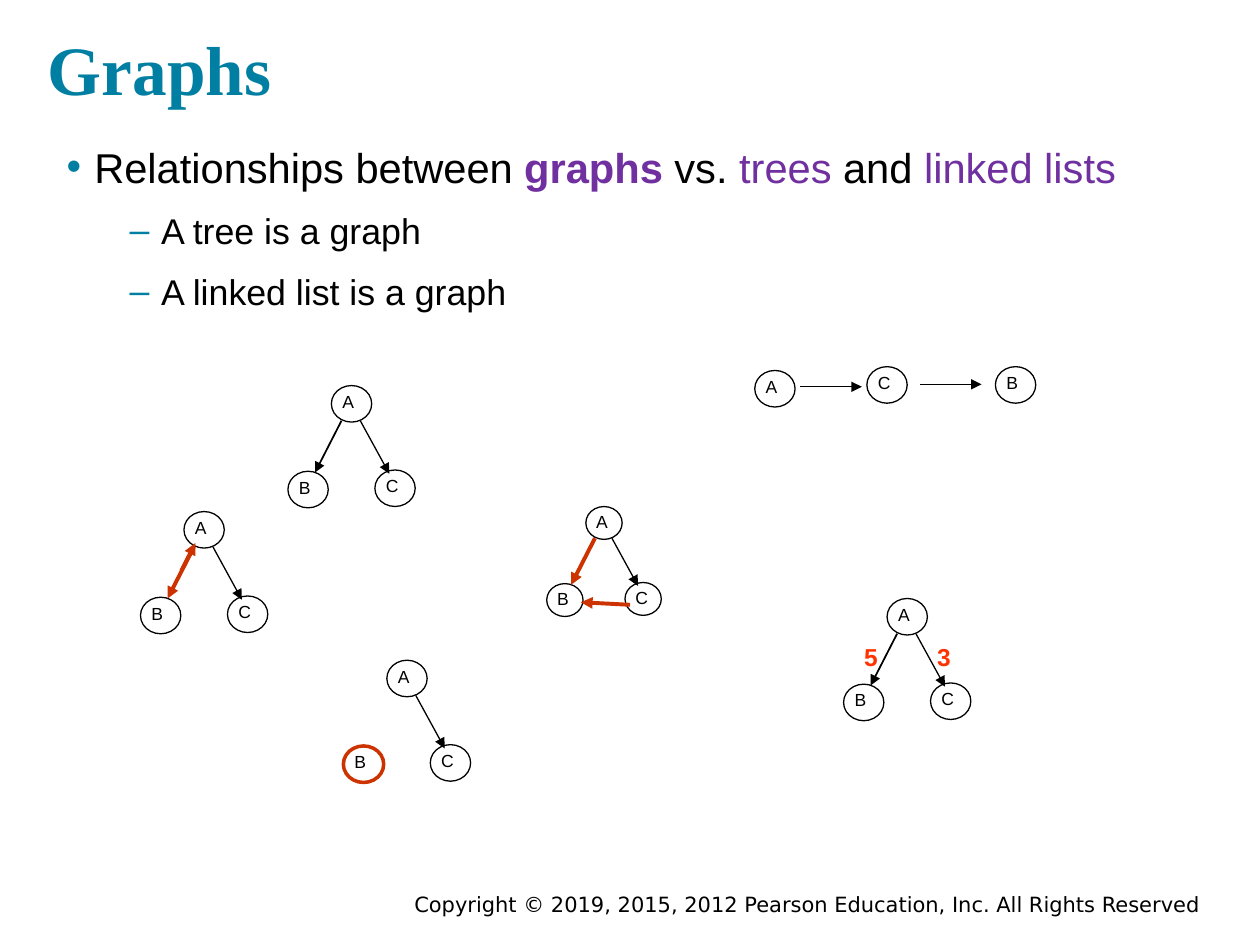
from dataclasses import dataclass

from lxml.etree import SubElement
from pptx import Presentation
from pptx.dml.color import RGBColor
from pptx.enum.shapes import MSO_CONNECTOR, MSO_SHAPE
from pptx.enum.text import MSO_ANCHOR, MSO_AUTO_SIZE, PP_ALIGN
from pptx.oxml.ns import qn
from pptx.util import Inches, Pt

COLORS = {
    "ink": "000000",
    "paper": "FFFFFF",
    "teal": "007FA3",
    "purple": "7030A0",
    "change": "CC3300",
    "weight": "FF3300",
}
COLS, ROWS = 100, 75
NODE = (3.2, 2.9)
OFFSETS = {"A": (0, 0), "B": (-3.45, 6.8), "C": (3.45, 6.7)}
EDGES = {"B": (0.8, 2.8, -1.3, 6.9), "C": (2.3, 2.8, 4.6, 7)}


def color(name):
    return RGBColor.from_string(COLORS[name])


@dataclass
class Deck:
    prs: object
    s: object = None
    font: str = "Arial"

    def x(self, cols):
        return round(self.prs.slide_width * cols / COLS)

    def y(self, rows):
        return round(self.prs.slide_height * rows / ROWS)

    def box(self, left, top, width, height):
        return self.x(left), self.y(top), self.x(width), self.y(height)

    def run(self, p, text, size, ink="ink", bold=False, font=None):
        r = p.add_run()
        r.text = text
        r.font.size = Pt(size)
        r.font.name = font or self.font
        r.font.bold = bold
        r.font.color.rgb = color(ink)

    def frame(self, sp, inset):
        tf = sp.text_frame
        tf.word_wrap = True
        tf.auto_size = MSO_AUTO_SIZE.NONE
        tf.margin_left = tf.margin_right = Inches(inset)
        tf.margin_top = tf.margin_bottom = Inches(inset)
        return tf

    def title(self, text, box):
        self.s = self.prs.slides.add_slide(self.prs.slide_layouts[5])
        sp = self.s.shapes.title
        sp.left, sp.top, sp.width, sp.height = self.box(*box)
        tf = self.frame(sp, 0.1)
        tf.vertical_anchor = MSO_ANCHOR.BOTTOM
        p = tf.paragraphs[0]
        p.alignment = PP_ALIGN.LEFT
        self.run(p, text, 39.6, "teal", True, "Times New Roman")

    def text(self, box, inset=0.1):
        return self.frame(self.s.shapes.add_textbox(*self.box(*box)), inset)

    def bullet(self, p, char, level, margin, indent):
        p.level = level
        pPr = p._p.get_or_add_pPr()
        pPr.set("marL", str(Inches(margin)))
        pPr.set("indent", str(Inches(indent)))
        clr = SubElement(pPr, qn("a:buClr"))
        SubElement(clr, qn("a:srgbClr"), val=COLORS["teal"])
        SubElement(pPr, qn("a:buFont"), typeface=self.font)
        SubElement(pPr, qn("a:buChar"), char=char)
        p.line_spacing = 0.8

    def bullets(self, box, lead, items):
        tf = self.text(box)
        p = tf.paragraphs[0]
        self.bullet(p, "•", 0, 0.33, -0.22)
        for text, ink, bold in lead:
            self.run(p, text, 23.8, ink, bold)
        for item in items:
            p = tf.add_paragraph()
            self.bullet(p, "–", 1, 0.86, -0.25)
            p.space_before = Pt(15)
            self.run(p, item, 20.4)

    def node(self, name, left, top, scale=1, ink="ink", weight=0.75):
        width, height = (side * scale for side in NODE)
        sp = self.s.shapes.add_shape(MSO_SHAPE.OVAL, *self.box(left, top, width, height))
        sp.shadow.inherit = False
        sp.fill.solid()
        sp.fill.fore_color.rgb = color("paper")
        sp.line.color.rgb = color(ink)
        sp.line.width = Pt(weight)
        tf = self.frame(sp, 0)
        tf.margin_left = Inches(0.04)
        tf.vertical_anchor = MSO_ANCHOR.TOP
        p = tf.paragraphs[0]
        p.alignment = PP_ALIGN.LEFT
        self.run(p, name, 10)

    def arrow(self, x1, y1, x2, y2, ink="ink", weight=0.75):
        line = self.s.shapes.add_connector(
            MSO_CONNECTOR.STRAIGHT, self.x(x1), self.y(y1), self.x(x2), self.y(y2))
        line.line.color.rgb = color(ink)
        line.line.width = Pt(weight)
        SubElement(line.line._get_or_add_ln(), qn("a:tailEnd"), type="triangle")
        SubElement(line._element.spPr, qn("a:effectLst"))

    def graph(self, left, top, scale=1, left_edge=("ink", 1), left_node=("ink", 0.75)):
        for name in "CAB":
            dx, dy = OFFSETS[name]
            style = left_node if name == "B" else ("ink", 0.75)
            self.node(name, left + dx * scale, top + dy * scale, scale, *style)
        for name, style in (("B", left_edge), ("C", ("ink", 0.75))):
            if style:
                x1, y1, x2, y2 = (d * scale for d in EDGES[name])
                self.arrow(left + x1, top + y1, left + x2, top + y2, *style)

    def label(self, text, left, top):
        tf = self.text((left, top, 3.3, 2.4))
        tf.margin_top = tf.margin_bottom = Inches(0.05)
        self.run(tf.paragraphs[0], text, 14, "weight", True)


def main():
    prs = Presentation()
    prs.slide_width, prs.slide_height = Inches(10), Inches(7.5)
    deck = Deck(prs)
    changed = ("change", 2.25)

    deck.title("Graphs", (2.8, 0.8, 93.1, 8.9))
    deck.bullets(
        (3.2, 11, 86.5, 18.1),
        [("Relationships between ", "ink", False), ("graphs", "purple", True),
         (" vs. ", "ink", False), ("trees", "purple", False),
         (" and ", "ink", False), ("linked lists", "purple", False)],
        ["A tree is a graph", "A linked list is a graph"])

    deck.graph(46.5, 40.2, scale=0.9, left_edge=changed)
    deck.arrow(50, 48, 46.1, 47.8, *changed)
    deck.graph(14.6, 40.6, left_edge=changed)
    deck.arrow(14.4, 45.3, 15.5, 43.1, *changed)
    deck.graph(26.3, 30.6)
    deck.graph(30.7, 52.4, left_edge=None, left_node=("change", 2))
    deck.graph(70.4, 47.5)
    for weight, left in (("5", 67.6), ("3", 73.4)):
        deck.label(weight, left, 50.5)

    for name, left, top in (("A", 59.9, 29.4), ("C", 68.8, 29.1), ("B", 79, 29.1)):
        deck.node(name, left, top)
    for left, top in ((63.5, 30.7), (73, 30.5)):
        deck.arrow(left, top, left + 4.9, top)

    p = deck.text((17.5, 70.3, 78.3, 3.1), 0.05).paragraphs[0]
    p.alignment = PP_ALIGN.RIGHT
    deck.run(p, "Copyright © 2019, 2015, 2012 Pearson Education, Inc. All Rights Reserved",
             12, font="DejaVu Sans")
    prs.save("out.pptx")


if __name__ == "__main__":
    main()
